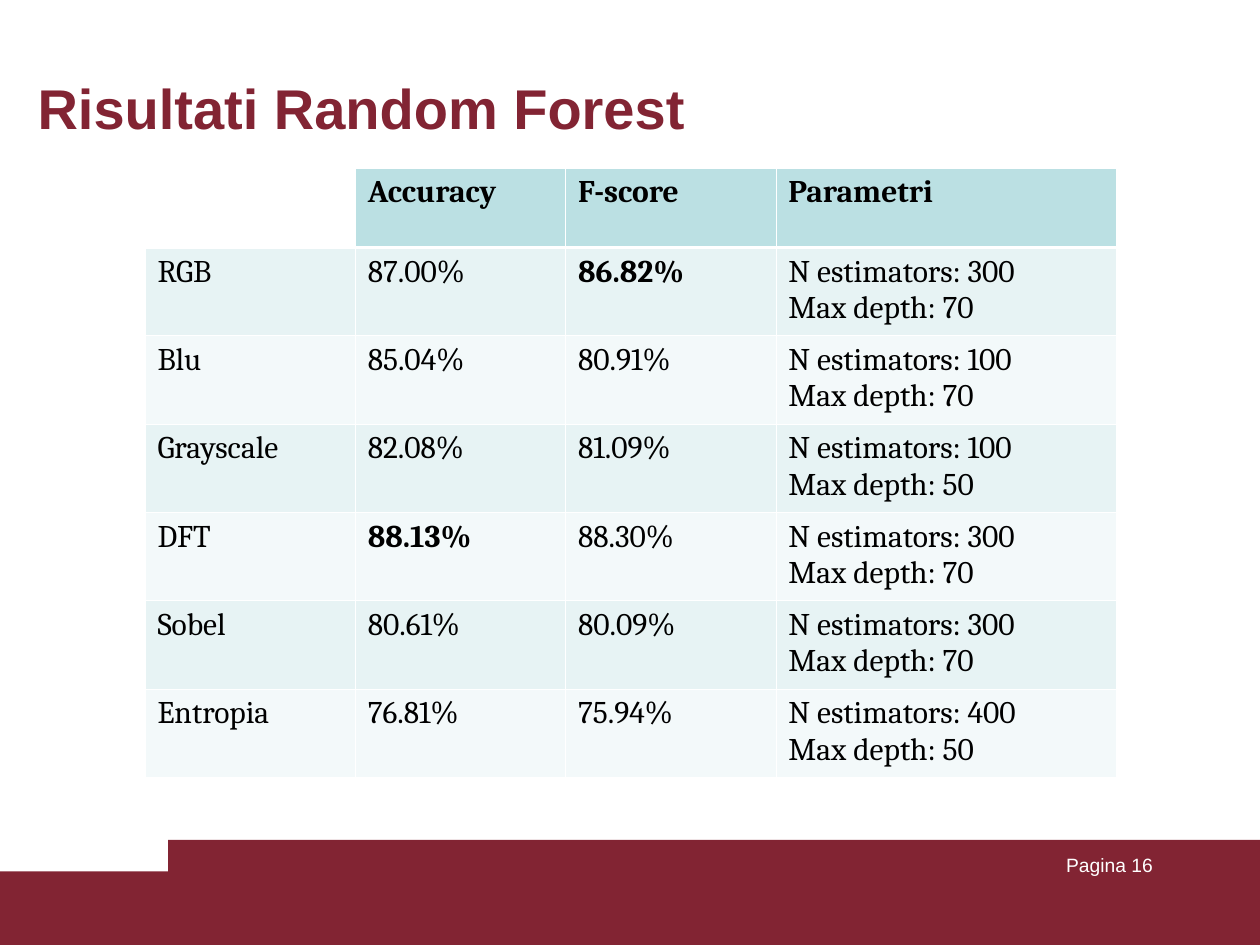
from lxml.etree import SubElement
from pptx import Presentation
from pptx.dml.color import RGBColor
from pptx.enum.shapes import MSO_SHAPE as Shape
from pptx.enum.text import MSO_ANCHOR as Anchor, PP_ALIGN as Align
from pptx.oxml.ns import qn
from pptx.util import Pt

# Content
TITLE = "Risultati Random Forest"
PAGE = "Pagina 16"
HEADER = ["", "Accuracy", "F-score", "Parametri"]
RESULTS = [  # features, accuracy, F-score, estimators, depth
    ("RGB", "87.00%", "86.82%", 300, 70),
    ("Blu", "85.04%", "80.91%", 100, 70),
    ("Grayscale", "82.08%", "81.09%", 100, 50),
    ("DFT", "88.13%", "88.30%", 300, 70),
    ("Sobel", "80.61%", "80.09%", 300, 70),
    ("Entropia", "76.81%", "75.94%", 400, 50),
]
HIGHLIGHTED = {("RGB", 2), ("DFT", 1)}  # features, column

# Format
COLORS = {"brand": "822433", "white": "FFFFFF", "black": "000000",
          "header": "BBE0E3", "odd": "E7F3F4", "even": "F3F9FA"}
TITLE_FONT = {"name": "Arial", "size": Pt(32), "bold": True}
PAGE_FONT = {"name": "Arial", "size": Pt(11), "bold": False}
TABLE_FONT = {"name": "Cambria", "size": Pt(18)}
WIDTH, HEIGHT = 720, 540
FOOTER_STEPS = [(0, 498), (96, 480)]  # left, top
TABLE_LEFT, TABLE_TOP = 82.8, 96
COLUMN_WIDTHS = [120.2, 120.2, 120.2, 194.8]
ROW_HEIGHTS = [45.4] + [50.5] * len(RESULTS)
THIN, THICK = 0.45, 1.47


def rgb(color):
    return RGBColor.from_string(COLORS[color])


def style(font, formats, color):
    for attribute, value in formats.items():
        setattr(font, attribute, value)
    font.color.rgb = rgb(color)


def add_text(slide, box, text, formats, color, align, top_inset):
    frame = slide.shapes.add_textbox(*map(Pt, box)).text_frame
    frame.word_wrap = True
    frame.vertical_anchor = Anchor.TOP
    frame.margin_top = Pt(top_inset)
    line = frame.paragraphs[0]
    line.text, line.alignment = text, align
    style(line.runs[0].font, formats, color)


def set_borders(cell, top, bottom):
    properties = cell._tc.get_or_add_tcPr()
    for side, width in (("L", THIN), ("R", THIN), ("T", top), ("B", bottom)):
        border = SubElement(properties, qn(f"a:ln{side}"), w=str(Pt(width)))
        fill = SubElement(border, qn("a:solidFill"))
        SubElement(fill, qn("a:srgbClr"), val=COLORS["white"])


def fill_cell(cell, text, fill, bold, row):
    set_borders(cell, THICK if row == 1 else THIN, THICK if row == 0 else THIN)
    cell.fill.solid()
    cell.fill.fore_color.rgb = rgb(fill)
    cell.text = text
    for line in cell.text_frame.paragraphs:
        style(line.font, TABLE_FONT, "black")
        for run in line.runs:
            style(run.font, {**TABLE_FONT, "bold": bold}, "black")


def add_results(slide):
    rows = [HEADER] + [
        [*scores, f"N estimators: {estimators}\nMax depth: {depth}"]
        for *scores, estimators, depth in RESULTS]
    table = slide.shapes.add_table(
        len(rows), len(HEADER), Pt(TABLE_LEFT), Pt(TABLE_TOP),
        Pt(sum(COLUMN_WIDTHS)), Pt(sum(ROW_HEIGHTS))).table
    table.first_row = table.horz_banding = False
    for column, width in zip(table.columns, COLUMN_WIDTHS):
        column.width = Pt(width)
    for r, (row, height) in enumerate(zip(rows, ROW_HEIGHTS)):
        table.rows[r].height = Pt(height)
        for c, text in enumerate(row):
            if r == 0:
                fill = "header" if text else "white"
            else:
                fill = "odd" if r % 2 else "even"
            bold = r == 0 or (row[0], c) in HIGHLIGHTED
            fill_cell(table.cell(r, c), text, fill, bold, r)


def main():
    deck = Presentation()
    deck.slide_width, deck.slide_height = Pt(WIDTH), Pt(HEIGHT)
    slide = deck.slides.add_slide(deck.slide_layouts[6])

    # Stepped footer band
    for left, top in FOOTER_STEPS:
        band = slide.shapes.add_shape(
            Shape.RECTANGLE, Pt(left), Pt(top), Pt(WIDTH - left), Pt(HEIGHT - top))
        band.shadow.inherit = False
        band.fill.solid()
        band.fill.fore_color.rgb = rgb("brand")
        band.line.fill.background()

    # Title, page number and results
    add_text(slide, (14.4, 34.6, 595.4, 39.6), TITLE, TITLE_FONT, "brand", Align.LEFT, 7.2)
    add_text(slide, (516.2, 483.8, 149.8, 36), PAGE, PAGE_FONT, "white", Align.RIGHT, 3.6)
    add_results(slide)
    deck.save("out.pptx")


if __name__ == "__main__":
    main()
